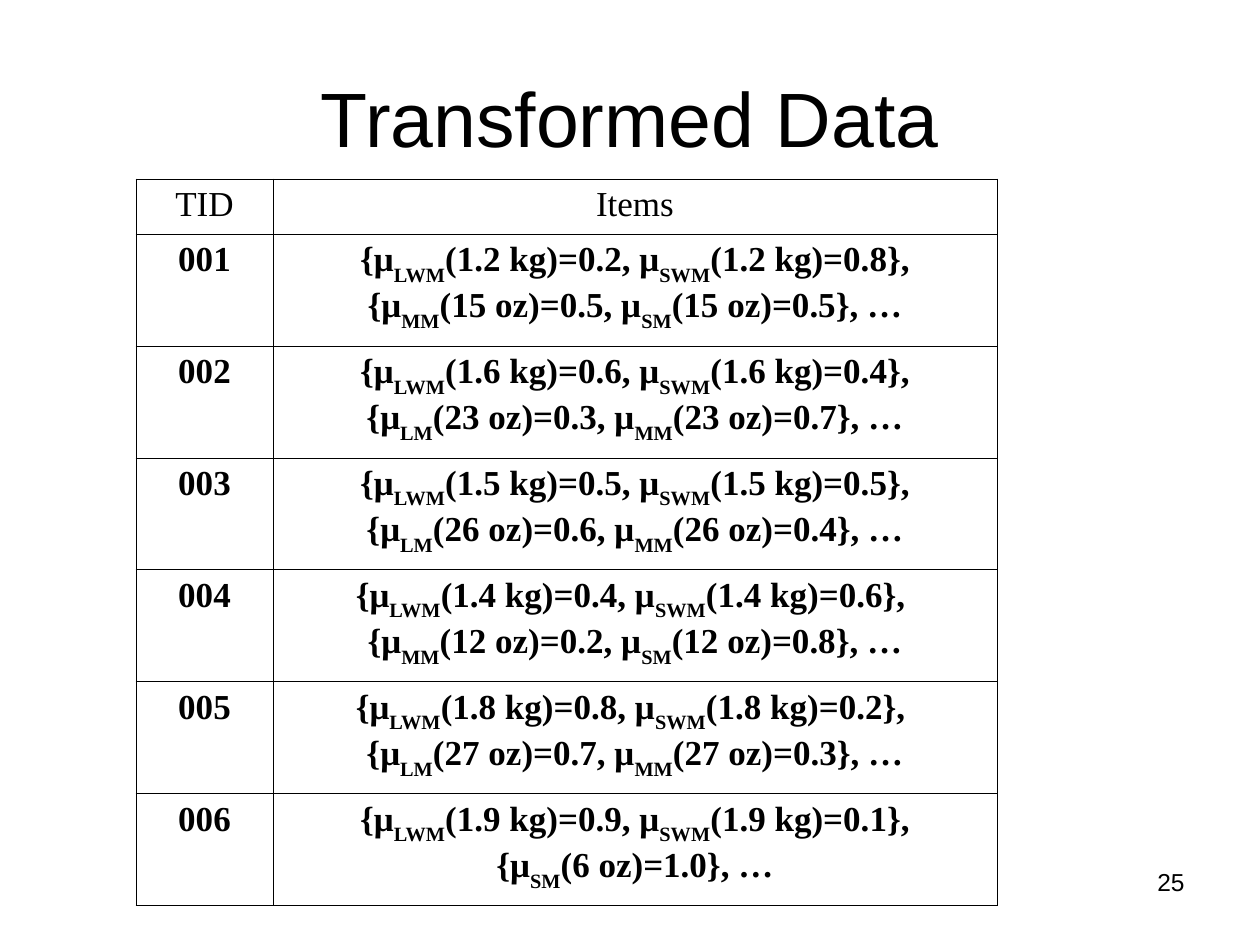
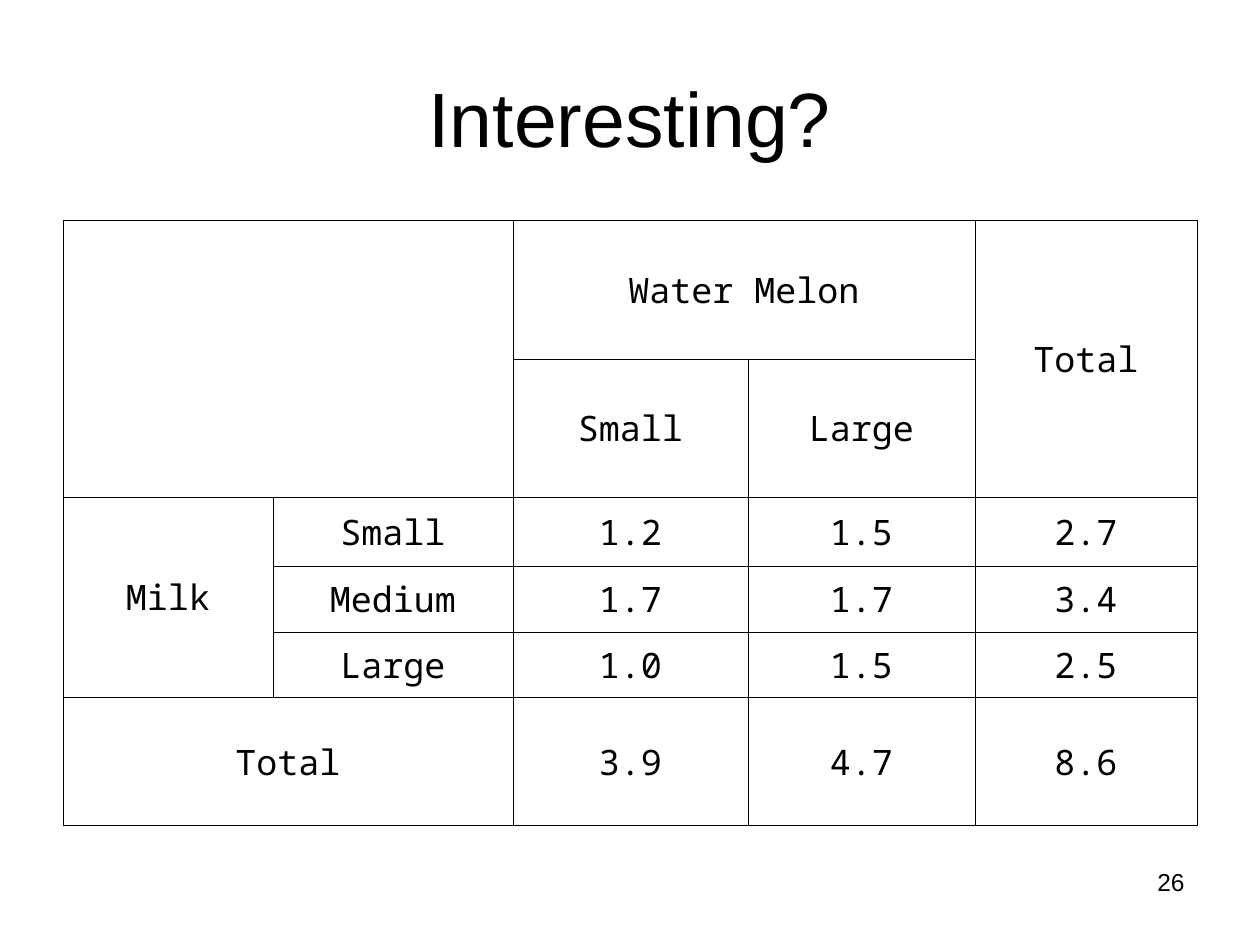
from dataclasses import dataclass

from lxml import etree
from pptx import Presentation
from pptx import util as u
from pptx.dml.color import RGBColor
from pptx.enum import text
from pptx.oxml import ns

PX_PER_INCH = 126
BLACK = RGBColor(0, 0, 0)
TITLE_FONT = "Arial"
BORDER_PT = 0.45
HANGING = 48
SUBSCRIPT = "-30000"


@dataclass(frozen=True)
class Grid:
    left: int
    top: int
    columns: list[int]
    rows: list[int]
    cells: list[list[str]]
    font: str
    anchor: text.MSO_ANCHOR
    bold_body: bool = False
    merges: tuple[tuple[int, int, int, int], ...] = ()


@dataclass(frozen=True)
class Page:
    title: str
    number: int
    grid: Grid


TRANSFORMED = Grid(
    left=136, top=179, columns=[137, 724], rows=[55] + [112] * 6,
    font="Times New Roman", anchor=text.MSO_ANCHOR.TOP, bold_body=True,
    cells=[
        ["TID", "Items"],
        ["001", "{μ_LWM_(1.2 kg)=0.2, μ_SWM_(1.2 kg)=0.8},\n"
                "{μ_MM_(15 oz)=0.5, μ_SM_(15 oz)=0.5}, …"],
        ["002", "{μ_LWM_(1.6 kg)=0.6, μ_SWM_(1.6 kg)=0.4},\n"
                "{μ_LM_(23 oz)=0.3, μ_MM_(23 oz)=0.7}, …"],
        ["003", "{μ_LWM_(1.5 kg)=0.5, μ_SWM_(1.5 kg)=0.5},\n"
                "{μ_LM_(26 oz)=0.6, μ_MM_(26 oz)=0.4}, …"],
        ["004", "{μ_LWM_(1.4 kg)=0.4, μ_SWM_(1.4 kg)=0.6}, \n"
                "{μ_MM_(12 oz)=0.2, μ_SM_(12 oz)=0.8}, …"],
        ["005", "{μ_LWM_(1.8 kg)=0.8, μ_SWM_(1.8 kg)=0.2}, \n"
                "{μ_LM_(27 oz)=0.7, μ_MM_(27 oz)=0.3}, …"],
        ["006", "{μ_LWM_(1.9 kg)=0.9, μ_SWM_(1.9 kg)=0.1},\n"
                "{μ_SM_(6 oz)=1.0}, …"],
    ],
)

INTERESTING = Grid(
    left=63, top=220, columns=[210, 240, 235, 227, 222],
    rows=[139, 138, 69, 66, 65, 129],
    font="Noto Sans Mono", anchor=text.MSO_ANCHOR.MIDDLE,
    cells=[
        ["", "", "Water Melon", "", "Total"],
        ["", "", "Small", "Large", ""],
        ["Milk", "Small", "1.2", "1.5", "2.7"],
        ["", "Medium", "1.7", "1.7", "3.4"],
        ["", "Large", "1.0", "1.5", "2.5"],
        ["Total", "", "3.9", "4.7", "8.6"],
    ],
    merges=((0, 0, 1, 1), (0, 2, 0, 3), (0, 4, 1, 4), (2, 0, 4, 0), (5, 0, 5, 1)),
)

PAGES = [Page("Transformed Data", 25, TRANSFORMED), Page("Interesting?", 26, INTERESTING)]


def px(length: int) -> int:
    return round(length * u.Inches(1) / PX_PER_INCH)


def write_text(frame, content: str, *, font: str, size: int, bold: bool = False,
               align=text.PP_ALIGN.CENTER, hanging: int = 0) -> None:
    for index, line in enumerate(content.split("\n")):
        paragraph = frame.paragraphs[0] if index == 0 else frame.add_paragraph()
        paragraph.alignment = align
        if hanging:
            properties = paragraph._p.get_or_add_pPr()
            properties.set("marL", str(px(hanging)))
            properties.set("indent", str(-px(hanging)))
        for part_index, part in enumerate(line.split("_")):
            run = paragraph.add_run()
            run.text = part
            run.font.name = font
            run.font.size = u.Pt(size)
            run.font.bold = bold
            run.font.color.rgb = BLACK
            if part_index % 2:
                run._r.get_or_add_rPr().set("baseline", SUBSCRIPT)


def add_label(slide, content: str, box: tuple[int, int, int, int], *,
              size: int, anchor, align) -> None:
    frame = slide.shapes.add_textbox(*map(px, box)).text_frame
    frame.word_wrap = True
    frame.vertical_anchor = anchor
    write_text(frame, content, font=TITLE_FONT, size=size, align=align)


def set_borders(cell) -> None:
    properties = cell._tc.get_or_add_tcPr()
    for side in ("a:lnL", "a:lnR", "a:lnT", "a:lnB"):
        line = etree.SubElement(properties, ns.qn(side), w=str(u.Pt(BORDER_PT)))
        fill = etree.SubElement(line, ns.qn("a:solidFill"))
        etree.SubElement(fill, ns.qn("a:srgbClr"), val=str(BLACK))


def add_grid(slide, grid: Grid) -> None:
    table = slide.shapes.add_table(
        len(grid.rows), len(grid.columns), px(grid.left), px(grid.top),
        px(sum(grid.columns)), px(sum(grid.rows))).table
    table.first_row = False
    table.horz_banding = False
    for column, width in zip(table.columns, grid.columns):
        column.width = px(width)
    for row, height in zip(table.rows, grid.rows):
        row.height = px(height)
    for row_index, values in enumerate(grid.cells):
        for column_index, value in enumerate(values):
            cell = table.cell(row_index, column_index)
            set_borders(cell)
            cell.fill.background()
            cell.vertical_anchor = grid.anchor
            if value:
                write_text(cell.text_frame, value, font=grid.font, size=20,
                           bold=grid.bold_body and row_index > 0, hanging=HANGING)
    for top, left, bottom, right in grid.merges:
        table.cell(top, left).merge(table.cell(bottom, right))


def add_page(presentation, page: Page) -> None:
    slide = presentation.slides.add_slide(presentation.slide_layouts[6])
    add_label(slide, page.title, (63, 38, 1134, 158), size=44,
              anchor=text.MSO_ANCHOR.MIDDLE, align=text.PP_ALIGN.CENTER)
    add_grid(slide, page.grid)
    add_label(slide, str(page.number), (903, 861, 294, 66), size=14,
              anchor=text.MSO_ANCHOR.TOP, align=text.PP_ALIGN.RIGHT)


def main() -> None:
    presentation = Presentation()
    presentation.slide_width = px(1260)
    presentation.slide_height = px(945)
    for page in PAGES:
        add_page(presentation, page)
    presentation.save("out.pptx")


if __name__ == "__main__":
    main()
